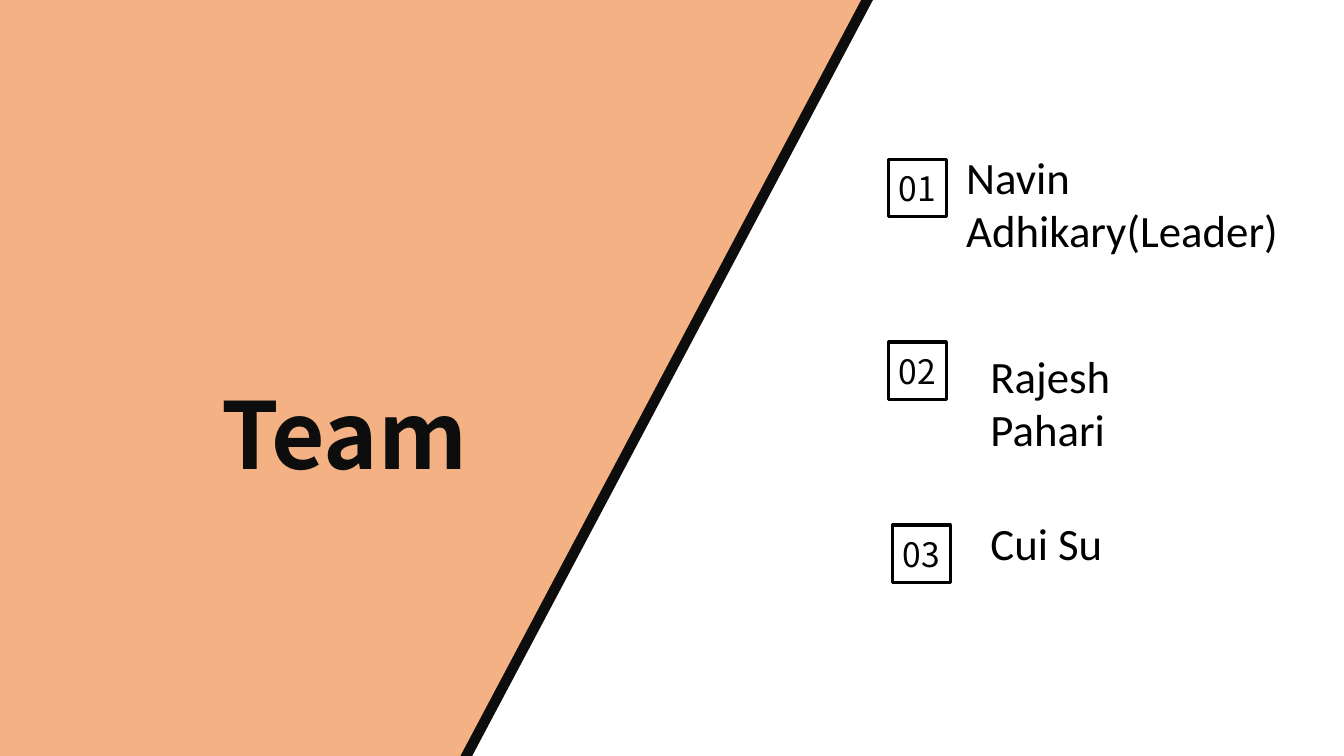
from pptx import Presentation
from pptx.dml.color import RGBColor
from pptx.enum.shapes import MSO_SHAPE
from pptx.enum.text import MSO_ANCHOR, PP_ALIGN
from pptx.util import Cm, Pt

COLORS = {"peach": "F4B183", "ink": "0D0D0D", "black": "000000"}
HEADING_FONT = "Noto Sans CJK SC"
BODY_FONT = "Calibri"


def rgb(name):
    return RGBColor.from_string(COLORS[name])


def set_text(sp, text, font, size, color, anchor, bold=False):
    tf = sp.text_frame
    tf.word_wrap = True
    tf.vertical_anchor = anchor
    p = tf.paragraphs[0]
    p.text = text
    r = p.runs[0]
    r.font.name = font
    r.font.size = Pt(size)
    r.font.bold = bold
    r.font.color.rgb = rgb(color)
    return tf


prs = Presentation()
prs.slide_width, prs.slide_height = Cm(33.87), Cm(19.05)
s = prs.slides.add_slide(prs.slide_layouts[6])

# Slanted panel with a dark edge
for offset, color in ((0.3, "ink"), (0, "peach")):
    left = Cm(offset)
    fb = s.shapes.build_freeform(left, 0)
    fb.add_line_segments([
        (left + Cm(21.7), 0),
        (left + Cm(11.6), prs.slide_height),
        (left, prs.slide_height),
    ])
    sp = fb.convert_to_shape()
    sp.shadow.inherit = False
    sp.fill.solid()
    sp.fill.fore_color.rgb = rgb(color)
    sp.line.fill.background()

# Title
sp = s.shapes.add_textbox(Cm(5.33), Cm(6.53), Cm(7.39), Cm(5.89))
set_text(sp, "Team", HEADING_FONT, 66, "ink", MSO_ANCHOR.BOTTOM, bold=True)

# Numbered members: name, number left, then name box left, top, width, height
members = [
    ("Navin Adhikary(Leader)", 22.4, 24.1, 2.84, 9.35, 3.76),
    ("Rajesh Pahari", 22.4, 24.71, 8.61, 4.7, 3),
    ("Cui Su", 22.5, 24.71, 12.85, 6.15, 1.63),
]
for i, (name, number_left, left, top, width, height) in enumerate(members):
    sp = s.shapes.add_shape(MSO_SHAPE.RECTANGLE, Cm(number_left),
                            Cm(4.01 + 4.61 * i), Cm(1.45), Cm(1.45))
    sp.shadow.inherit = False
    sp.fill.background()
    sp.line.color.rgb = rgb("black")
    sp.line.width = Pt(2.25)
    tf = set_text(sp, f"{i + 1:02d}", HEADING_FONT, 24, "black", MSO_ANCHOR.MIDDLE)
    tf.margin_left = tf.margin_right = tf.margin_top = tf.margin_bottom = 0
    tf.paragraphs[0].alignment = PP_ALIGN.CENTER

    sp = s.shapes.add_textbox(Cm(left), Cm(top), Cm(width), Cm(height))
    set_text(sp, name, BODY_FONT, 32, "black", MSO_ANCHOR.BOTTOM)

prs.save("out.pptx")
